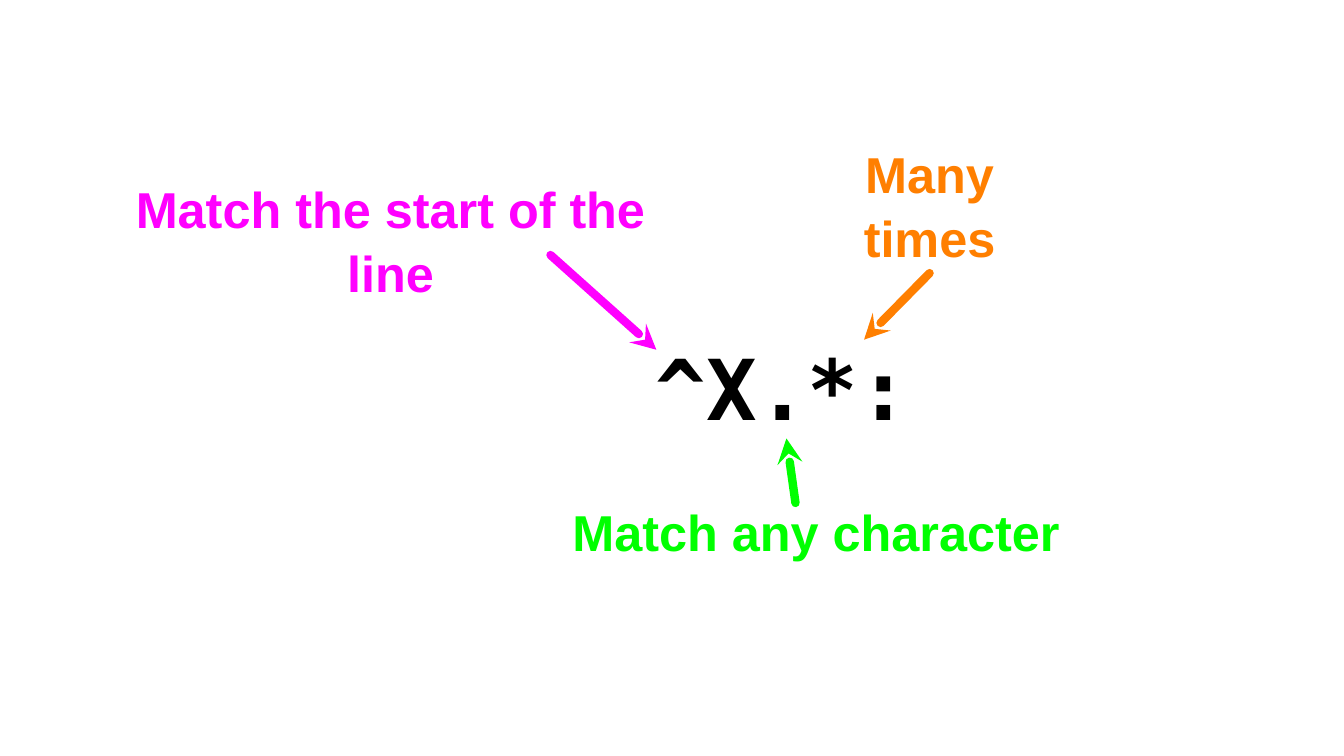
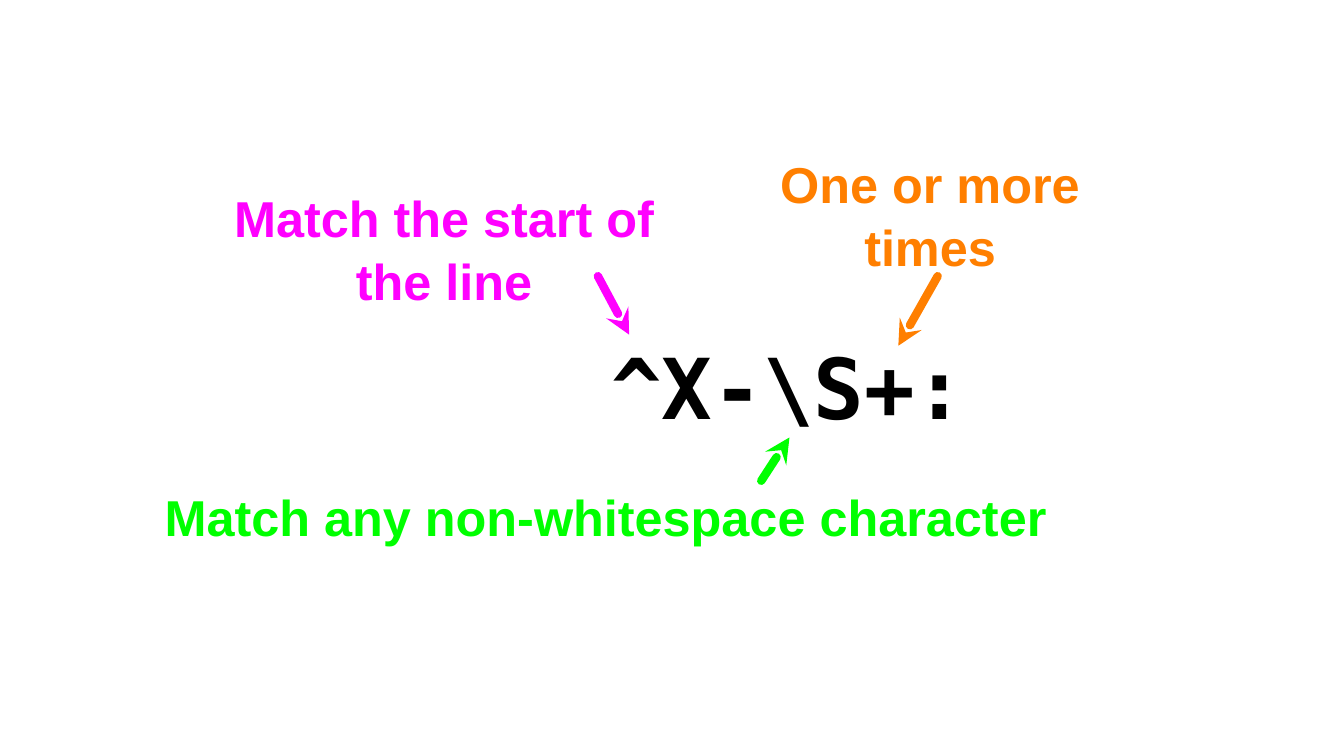
from dataclasses import dataclass

from lxml import etree
from pptx import Presentation
from pptx.dml.color import RGBColor
from pptx.enum.shapes import MSO_CONNECTOR
from pptx.enum.text import MSO_ANCHOR, PP_ALIGN
from pptx.oxml.ns import qn
from pptx.util import Inches, Pt

STRAIGHT = MSO_CONNECTOR.STRAIGHT
MIDDLE = MSO_ANCHOR.MIDDLE
CENTER = PP_ALIGN.CENTER
BLANK_LAYOUT = 6


@dataclass(frozen=True)
class Theme:
    ink: str = "000000"
    anchor: str = "FF00FF"
    character: str = "00FF00"
    repeat: str = "FF7F00"
    label_font: str = "Arial"
    pattern_font: str = "DejaVu Sans Mono"
    label_size: int = 36
    pattern_size: int = 60
    line_spacing: float = 1.05
    arrow_width: int = 6


THEME = Theme()


@dataclass(frozen=True)
class Callout:
    text: str
    color: str
    box: tuple
    start: tuple
    tip: tuple


def add_text(page, box, text, font, size, color):
    frame = page.shapes.add_textbox(*map(Inches, box)).text_frame
    frame.word_wrap = True
    frame.vertical_anchor = MIDDLE
    frame.margin_left = frame.margin_right = 0
    frame.margin_top = frame.margin_bottom = 0
    frame.text = text
    para = frame.paragraphs[0]
    para.alignment = CENTER
    para.line_spacing = THEME.line_spacing
    span = para.runs[0]
    span.font.name = font
    span.font.size = Pt(size)
    span.font.bold = True
    span.font.color.rgb = RGBColor.from_string(color)


def add_arrow(page, start, tip, color):
    arrow = page.shapes.add_connector(STRAIGHT, *map(Inches, start + tip))
    arrow.line.color.rgb = RGBColor.from_string(color)
    arrow.line.width = Pt(THEME.arrow_width)
    properties = arrow._element.spPr
    outline = properties.find(qn("a:ln"))
    etree.SubElement(outline, qn("a:round"))
    etree.SubElement(outline, qn("a:tailEnd"), type="stealth")
    outline.set("cap", "rnd")
    etree.SubElement(properties, qn("a:effectLst"))


def add_callout(page, callout):
    left, top = callout.box[:2]
    start, tip = ((left + x, top + y) for x, y in (callout.start, callout.tip))
    add_text(page, callout.box, callout.text, THEME.label_font,
             THEME.label_size, callout.color)
    add_arrow(page, start, tip, callout.color)


def add_pattern_slide(deck, pattern, pattern_box, callouts):
    page = deck.slides.add_slide(deck.slide_layouts[BLANK_LAYOUT])
    add_text(page, pattern_box, pattern, THEME.pattern_font,
             THEME.pattern_size, THEME.ink)
    for callout in callouts:
        add_callout(page, callout)


WILDCARD_CALLOUTS = (
    Callout("Match the start of the line", THEME.anchor,
            (1.16, 2.03, 5.43, 0.68), (4.3, 0.5), (5.35, 1.44)),
    Callout("Match any character", THEME.character,
            (5.46, 4.92, 5.27, 0.68), (2.43, 0.07), (2.34, -0.57)),
    Callout("Many times", THEME.repeat,
            (8.01, 1.33, 2.42, 1.38), (1.21, 1.38), (0.56, 2.04)),
)

NON_WHITESPACE_CALLOUTS = (
    Callout("Match the start of the line", THEME.anchor,
            (2.28, 1.8, 4.25, 1.31), (3.65, 0.94), (3.96, 1.52)),
    Callout("Match any non-whitespace character", THEME.character,
            (1.49, 4.77, 9.04, 0.68), (6.06, 0), (6.34, -0.43)),
    Callout("One or more times", THEME.repeat,
            (7.55, 1.49, 3.35, 1.25), (1.75, 1.25), (1.36, 1.94)),
)


def main():
    deck = Presentation()
    deck.slide_width = Inches(13.33)
    deck.slide_height = Inches(7.5)
    add_pattern_slide(deck, "^X.*:", (6.08, 3.28, 3.36, 1.07),
                      WILDCARD_CALLOUTS)
    add_pattern_slide(deck, "^X-\\S+:", (6.04, 3.27, 3.56, 1.07),
                      NON_WHITESPACE_CALLOUTS)
    deck.save("out.pptx")


if __name__ == "__main__":
    main()
